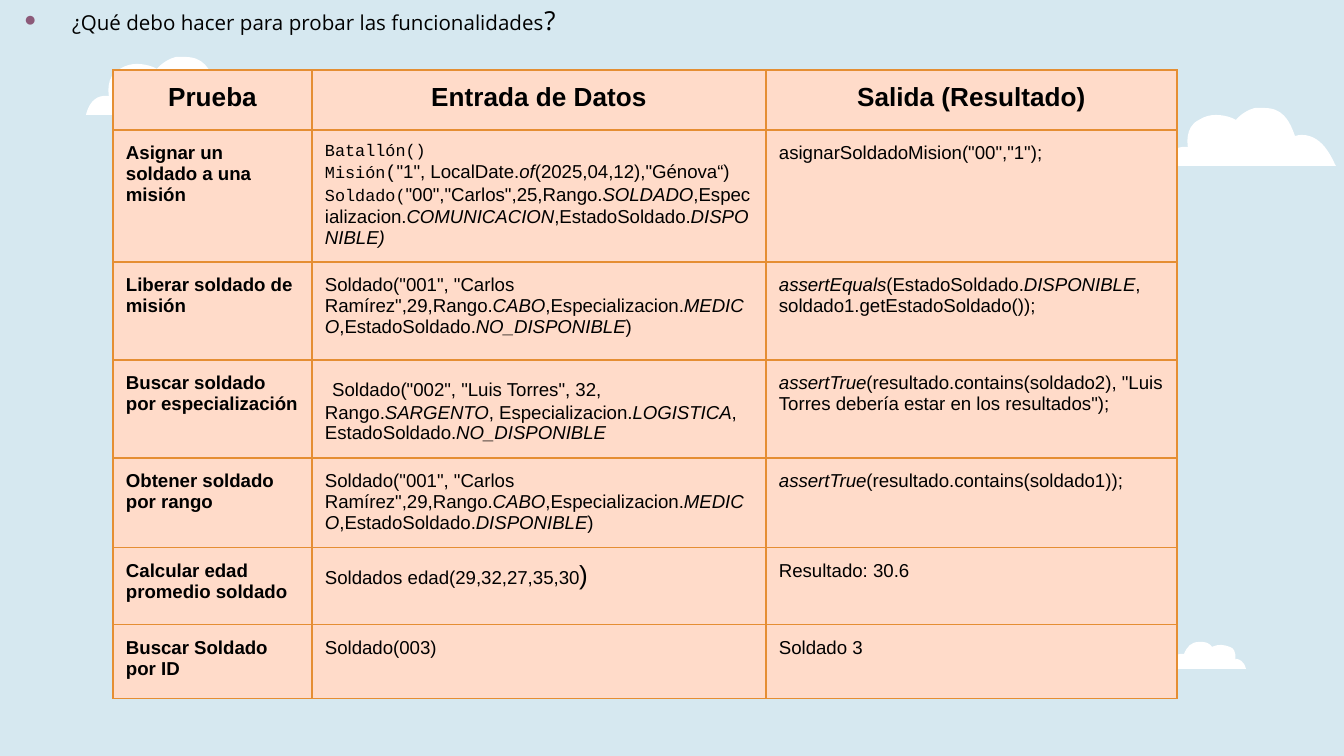
from lxml.etree import SubElement
from pptx import Presentation
from pptx.dml.color import RGBColor
from pptx.enum.text import MSO_ANCHOR, MSO_AUTO_SIZE, PP_ALIGN
from pptx.oxml.ns import qn
from pptx.util import Pt

PX = 9525 * 96 / 134.4
SKY, WHITE, PEACH, ORANGE, BULLET, BLACK = "D6E8F0", "FFFFFF", "FFDBC9", "E58E33", "8C5A79", "000000"

# Run formats
BODY = {"size": Pt(10), "name": "Arial", "bold": False, "italic": False}
ITALIC = {**BODY, "italic": True}
BOLD = {**BODY, "bold": True}
HEADER = {**BOLD, "size": Pt(14)}
LARGE = {**BODY, "size": Pt(14)}
CODE = {**BODY, "size": Pt(9), "name": "Courier New"}
CODE_LARGE = {**CODE, "size": Pt(10)}
QUESTION = {**BODY, "size": Pt(11), "name": "Open Sans"}
QUESTION_MARK = {**QUESTION, "size": Pt(14)}

# Content: a paragraph is a list of (text, format) runs; *stars* mark italics
TITLE = [("¿Qué debo hacer para probar las funcionalidades", QUESTION), ("?", QUESTION_MARK)]
HEADERS = ["Prueba", "Entrada de Datos", "Salida (Resultado)"]
CARLOS = 'Soldado("001", "Carlos Ramírez",29,Rango.*CABO*,Especializacion.*MEDICO*,EstadoSoldado.'
TESTS = [
    ("Asignar un soldado a una misión",
     [[("Batallón()", CODE)],
      [("Misión", CODE), ("(", CODE_LARGE), ('"1", LocalDate.*of*(2025,04,12),"Génova“)', BODY)],
      [("Soldado(", CODE),
       ('"00","Carlos",25,Rango.*SOLDADO*,Especializacion.*COMUNICACION*,EstadoSoldado.*DISPONIBLE)*', BODY)]],
     'asignarSoldadoMision("00","1");'),
    ("Liberar soldado de misión",
     [[(CARLOS + "*NO_DISPONIBLE*)", BODY)]],
     "*assertEquals*(EstadoSoldado.*DISPONIBLE*, soldado1.getEstadoSoldado());"),
    ("Buscar soldado por especialización",
     [[(" ", LARGE),
       ('Soldado("002", "Luis Torres", 32, Rango.*SARGENTO*, Especializacion.*LOGISTICA*, '
        "EstadoSoldado.*NO_DISPONIBLE*", BODY)]],
     '*assertTrue*(resultado.contains(soldado2), "Luis Torres debería estar en los resultados");'),
    ("Obtener soldado por rango",
     [[(CARLOS + "*DISPONIBLE*)", BODY)]],
     "*assertTrue*(resultado.contains(soldado1));"),
    ("Calcular edad promedio soldado",
     [[("Soldados edad(29,32,27,35,30", BODY), (")", LARGE)]],
     "Resultado: 30.6"),
    ("Buscar Soldado por ID", [[("Soldado(003)", BODY)]], "Soldado 3"),
]

# Geometry in px
SLIDE_SIZE = (1344, 756)
TITLE_BOX = (-8, -9, 1138, 491)
TABLE_ORIGIN = (113, 70)
COLUMN_WIDTHS = [199, 454, 411]
ROW_HEIGHTS = [60, 132, 98, 98, 90, 77, 74]
INSET = 13

# Cloud outlines: start point, then lines (x, y) or curves (x1, y1, x2, y2, x, y)
LARGE_CLOUD = [
    (99, 0), (97, 0, 93, 0, 90, 0), (78, 3, 71, 12, 71, 12), (71, 12, 63, 7, 51, 7),
    (46, 7, 40, 8, 34, 12), (19, 19, 23, 39, 23, 39), (23, 39, 22, 39, 19, 39),
    (13, 39, 4, 42, 0, 58), (171, 58), (169, 56, 160, 27, 137, 27),
    (136, 27, 133, 27, 130, 28), (124, 11, 117, 0, 99, 0)]
SMALL_CLOUD = [
    (34, 0), (26, 0, 22, 5, 19, 12), (17, 12, 16, 12, 16, 12), (4, 12, 0, 27, 0, 27),
    (81, 27), (79, 19, 74, 17, 71, 17), (71, 17, 70, 19, 70, 19), (70, 19, 73, 8, 65, 5),
    (62, 4, 59, 3, 56, 3), (51, 3, 47, 5, 47, 5), (47, 5, 44, 0, 38, 0), (36, 0, 35, 0, 34, 0)]
CLOUDS = [(1165, 108, LARGE_CLOUD), (86, 57, LARGE_CLOUD), (1165, 642, SMALL_CLOUD)]


def px(value):
    return round(value * PX)


def color(value):
    return RGBColor.from_string(value)


def set_fill(fill, value):
    fill.solid()
    fill.fore_color.rgb = color(value)


def write_runs(paragraph, runs):
    for text, base in runs:
        for index, part in enumerate(text.split("*")):
            if part:
                run = paragraph.add_run()
                run.text = part
                run.font.color.rgb = color(BLACK)
                for name, value in (ITALIC if index % 2 else base).items():
                    setattr(run.font, name, value)


def add_cloud(slide, left, top, outline):
    corners = [(px(left + segment[-2]), px(top + segment[-1])) for segment in outline]
    builder = slide.shapes.build_freeform(*corners[0], scale=1.0)
    builder.add_line_segments(corners[1:], close=True)
    shape = builder.convert_to_shape()
    # Turn the straight segments that have control points into curves
    for line, segment in zip(list(shape._element.iter(qn("a:lnTo"))), outline[1:]):
        if len(segment) == 6:
            line.tag = qn("a:cubicBezTo")
            line.clear()
            for x, y in zip(segment[::2], segment[1::2]):
                SubElement(line, qn("a:pt"), x=str(px(x)), y=str(px(y)))
    shape.shadow.inherit = False
    set_fill(shape.fill, WHITE)
    shape.line.fill.background()


def add_bullet(paragraph):
    properties = paragraph._p.get_or_add_pPr()
    properties.set("marL", str(px(67)))
    properties.set("indent", str(px(-48)))
    bullet_color = SubElement(properties, qn("a:buClr"))
    SubElement(bullet_color, qn("a:srgbClr"), val=BULLET)
    SubElement(properties, qn("a:buFont"), typeface="Arial")
    SubElement(properties, qn("a:buChar"), char="●")


def fill_cell(cell, paragraphs, alignment):
    for side in ("left", "right", "top", "bottom"):
        setattr(cell, f"margin_{side}", px(INSET))
    properties = cell._tc.get_or_add_tcPr()
    for tag in ("a:lnL", "a:lnR", "a:lnT", "a:lnB"):
        line = SubElement(properties, qn(tag), w=str(Pt(0.75)))
        SubElement(SubElement(line, qn("a:solidFill")), qn("a:srgbClr"), val=ORANGE)
    set_fill(cell.fill, PEACH)
    for index, runs in enumerate(paragraphs):
        paragraph = cell.text_frame.add_paragraph() if index else cell.text_frame.paragraphs[0]
        paragraph.alignment = alignment
        write_runs(paragraph, runs)


def main():
    presentation = Presentation()
    presentation.slide_width, presentation.slide_height = map(px, SLIDE_SIZE)
    slide = presentation.slides.add_slide(presentation.slide_layouts[5])
    set_fill(slide.background.fill, SKY)

    # Clouds
    for cloud in CLOUDS:
        add_cloud(slide, *cloud)

    # Title
    title = slide.shapes.title
    title.left, title.top, title.width, title.height = map(px, TITLE_BOX)
    frame = title.text_frame
    frame_format = {"word_wrap": True, "auto_size": MSO_AUTO_SIZE.NONE, "vertical_anchor": MSO_ANCHOR.TOP}
    frame_format.update({f"margin_{side}": px(INSET) for side in ("left", "right", "top", "bottom")})
    for name, value in frame_format.items():
        setattr(frame, name, value)
    paragraph = frame.paragraphs[0]
    paragraph.alignment = PP_ALIGN.LEFT
    add_bullet(paragraph)
    write_runs(paragraph, TITLE)

    # Test table
    rows = [[[[(text, HEADER)]] for text in HEADERS]]
    rows += [[[[(test, BOLD)]], entry, [[(result, BODY)]]] for test, entry, result in TESTS]
    size = (sum(COLUMN_WIDTHS), sum(ROW_HEIGHTS))
    table = slide.shapes.add_table(len(rows), len(HEADERS), *map(px, TABLE_ORIGIN + size)).table
    table.first_row = table.horz_banding = False
    for column, width in zip(table.columns, COLUMN_WIDTHS):
        column.width = px(width)
    for index, (row, height, contents) in enumerate(zip(table.rows, ROW_HEIGHTS, rows)):
        row.height = px(height)
        for cell, paragraphs in zip(row.cells, contents):
            fill_cell(cell, paragraphs, PP_ALIGN.LEFT if index else PP_ALIGN.CENTER)

    presentation.save("out.pptx")


if __name__ == "__main__":
    main()
